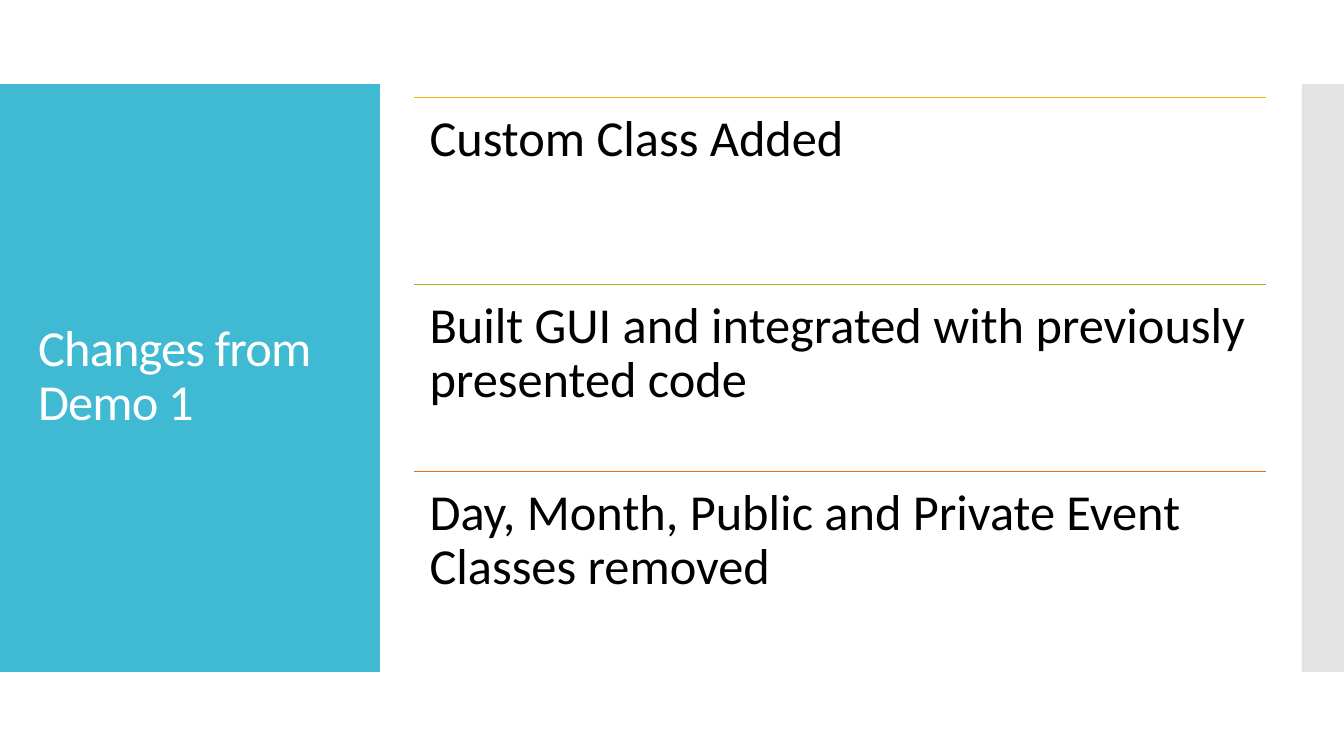
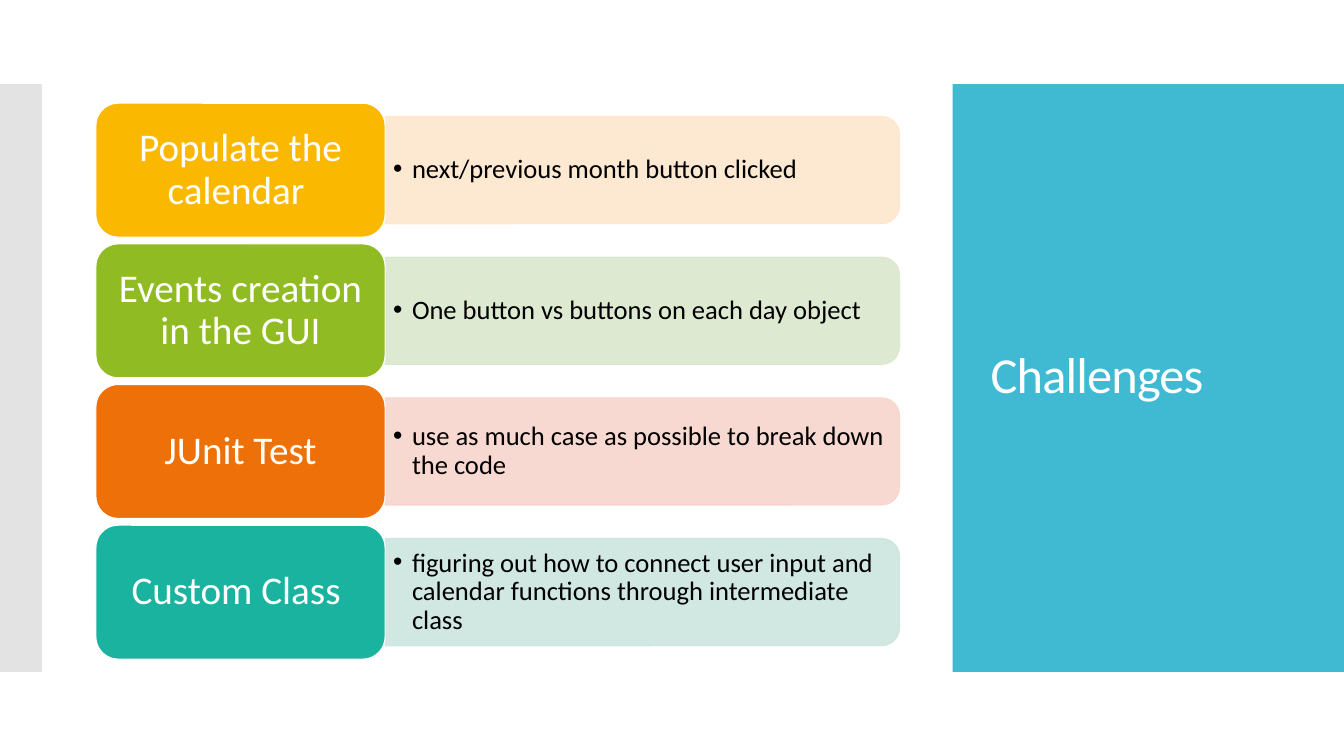
from dataclasses import dataclass
from typing import NamedTuple

from lxml.etree import SubElement
from pptx import Presentation
from pptx.dml.color import RGBColor
from pptx.enum.shapes import MSO_CONNECTOR, MSO_SHAPE
from pptx.enum.text import MSO_ANCHOR, MSO_AUTO_SIZE, PP_ALIGN
from pptx.oxml.ns import qn
from pptx.util import Pt


@dataclass(frozen=True)
class Theme:
    """Colours, type sizes and line weights shared by the slides."""
    font: str = "Calibri"
    panel: str = "40BAD2"
    strip: str = "C8C8C8"
    light: str = "FFFFFF"
    dark: str = "000000"
    yellow: str = "FAB900"
    green: str = "90BB23"
    orange: str = "EE7008"
    teal: str = "1AB39F"
    heading: float = 36
    label: float = 28
    detail: float = 19
    line: float = 0.85
    leading: float = 0.9


class Box(NamedTuple):
    """A rectangle in points."""
    left: float
    top: float
    width: float
    height: float

    def lengths(self):
        """Return the four sides as lengths."""
        return [Pt(side) for side in self]


THEME = Theme()
SLIDE_WIDTH, SLIDE_HEIGHT = 960, 540
BAND_TOP, BAND_HEIGHT, STRIP_WIDTH = 60, 420, 30

CHANGES = [
    ("Custom Class Added", THEME.yellow),
    ("Built GUI and integrated with previously presented code", THEME.green),
    ("Day, Month, Public and Private Event Classes removed", THEME.orange),
]
CHALLENGES = [
    ("Populate the calendar ", "next/previous month button clicked", THEME.yellow, "FDE6CC"),
    ("Events creation in the GUI", "One button vs buttons on each day object", THEME.green, "DBE7CD"),
    ("JUnit Test", "use as much case as possible to break down the code", THEME.orange, "F8D5CC"),
    ("Custom Class ", "figuring out how to connect user input and calendar functions "
     "through intermediate class", THEME.teal, "CDE5DF"),
]


def add_block(page, kind, box, fill, line=None, opacity=100):
    """Add a flat preset shape."""
    shape = page.shapes.add_shape(kind, *box.lengths())
    shape.shadow.inherit = False
    shape.fill.solid()
    shape.fill.fore_color.rgb = RGBColor.from_string(fill)
    if line:
        shape.line.color.rgb = RGBColor.from_string(line)
        shape.line.width = Pt(THEME.line)
    else:
        shape.line.fill.background()
    if opacity < 100:
        for color in shape.element.spPr.iter(qn("a:srgbClr")):
            SubElement(color, qn("a:alpha"), val=str(opacity * 1000))
    return shape


def write(shape, text, size, color, insets=(7.2, 3.6), anchor=MSO_ANCHOR.MIDDLE,
          align=PP_ALIGN.LEFT):
    """Fill a shape with one formatted paragraph and return it."""
    frame = shape.text_frame
    frame.word_wrap = True
    frame.auto_size = MSO_AUTO_SIZE.NONE
    frame.vertical_anchor = anchor
    frame.margin_left = frame.margin_right = Pt(insets[0])
    frame.margin_top = frame.margin_bottom = Pt(insets[1])
    para = frame.paragraphs[0]
    para.alignment = align
    para.line_spacing = THEME.leading
    span = para.add_run()
    span.text = text
    span.font.name = THEME.font
    span.font.size = Pt(size)
    span.font.color.rgb = RGBColor.from_string(color)
    return para


def add_bullet(para, indent):
    """Give a paragraph a hanging round bullet."""
    properties = para._p.get_or_add_pPr()
    properties.set("marL", str(Pt(indent)))
    properties.set("indent", str(-Pt(indent)))
    SubElement(properties, qn("a:buFont"), typeface="Arial")
    SubElement(properties, qn("a:buChar"), char="•")


def add_page(deck, heading, panel_left, panel_width, strip_left):
    """Add a slide with its title panel and side strip."""
    page = deck.slides.add_slide(deck.slide_layouts[5])
    panel = Box(panel_left, BAND_TOP, panel_width, BAND_HEIGHT)
    strip = Box(strip_left, BAND_TOP, STRIP_WIDTH, BAND_HEIGHT)
    add_block(page, MSO_SHAPE.RECTANGLE, panel, THEME.panel)
    add_block(page, MSO_SHAPE.RECTANGLE, strip, THEME.strip, opacity=50)
    title = page.shapes.title
    title_box = Box(panel.left + 20, panel.top + 28.6, 231.8, 362)
    title.left, title.top, title.width, title.height = title_box.lengths()
    para = write(title, heading, THEME.heading, THEME.light)
    para.runs[0].font._element.set("spc", "-60")
    title.element.getparent().append(title.element)
    return page


def add_ruled_list(page, box, items):
    """Stack statements in equal rows, each under a coloured rule."""
    pitch = box.height / len(items)
    for index, (text, color) in enumerate(items):
        row = Box(box.left, box.top + index * pitch, box.width, pitch)
        left, top, width, _ = row.lengths()
        rule = page.shapes.add_connector(MSO_CONNECTOR.STRAIGHT, left, top, left + width, top)
        rule.line.color.rgb = RGBColor.from_string(color)
        rule.line.width = Pt(THEME.line)
        SubElement(rule.element.spPr, qn("a:effectLst"))
        write(page.shapes.add_textbox(*row.lengths()), text, THEME.heading, THEME.dark,
              insets=(10.8, 10.8), anchor=MSO_ANCHOR.TOP)


def add_challenge(page, box, label, detail, color, tint):
    """Place a label block and its tinted detail bar in a row."""
    label_box = Box(box.left, box.top, 206.6, box.height)
    bar = Box(box.left + label_box.width, box.top + box.height * 0.1,
              box.width - label_box.width, box.height * 0.8)
    turned = Box(bar.left + (bar.width - bar.height) / 2,
                 bar.top + (bar.height - bar.width) / 2, bar.height, bar.width)
    tab = add_block(page, MSO_SHAPE.ROUND_2_SAME_RECTANGLE, turned, tint, tint, 90)
    tab.rotation = 90
    text_box = Box(bar.left, bar.top + 3.7, bar.width - 3.7, bar.height - 7.4)
    para = write(page.shapes.add_textbox(*text_box.lengths()), detail, THEME.detail,
                 THEME.dark, insets=(5.7, 2.9))
    add_bullet(para, 13.5)
    block = add_block(page, MSO_SHAPE.ROUNDED_RECTANGLE, label_box, color, THEME.light)
    write(block, label, THEME.label, THEME.light, insets=(8.5, 4.3), align=PP_ALIGN.CENTER)


def add_challenges(page, box, items, gap):
    """Stack challenge rows with equal gaps."""
    height = (box.height - gap * (len(items) - 1)) / len(items)
    for index, item in enumerate(items):
        row = Box(box.left, box.top + index * (height + gap), box.width, height)
        add_challenge(page, row, *item)


def build_changes(deck):
    """Build the slide of changes."""
    page = add_page(deck, "Changes from Demo 1", 0, 271.4, SLIDE_WIDTH - STRIP_WIDTH)
    add_ruled_list(page, Box(296, 69.8, 608.4, 400.5), CHANGES)


def build_challenges(deck):
    """Build the slide of challenges."""
    page = add_page(deck, "Challenges", 680.4, 279.6, 0)
    add_challenges(page, Box(68.5, 73.7, 574, 397.1), CHALLENGES, 4.8)


def main():
    """Build and save the deck."""
    deck = Presentation()
    deck.slide_width, deck.slide_height = Pt(SLIDE_WIDTH), Pt(SLIDE_HEIGHT)
    build_changes(deck)
    build_challenges(deck)
    deck.save("out.pptx")


if __name__ == "__main__":
    main()
